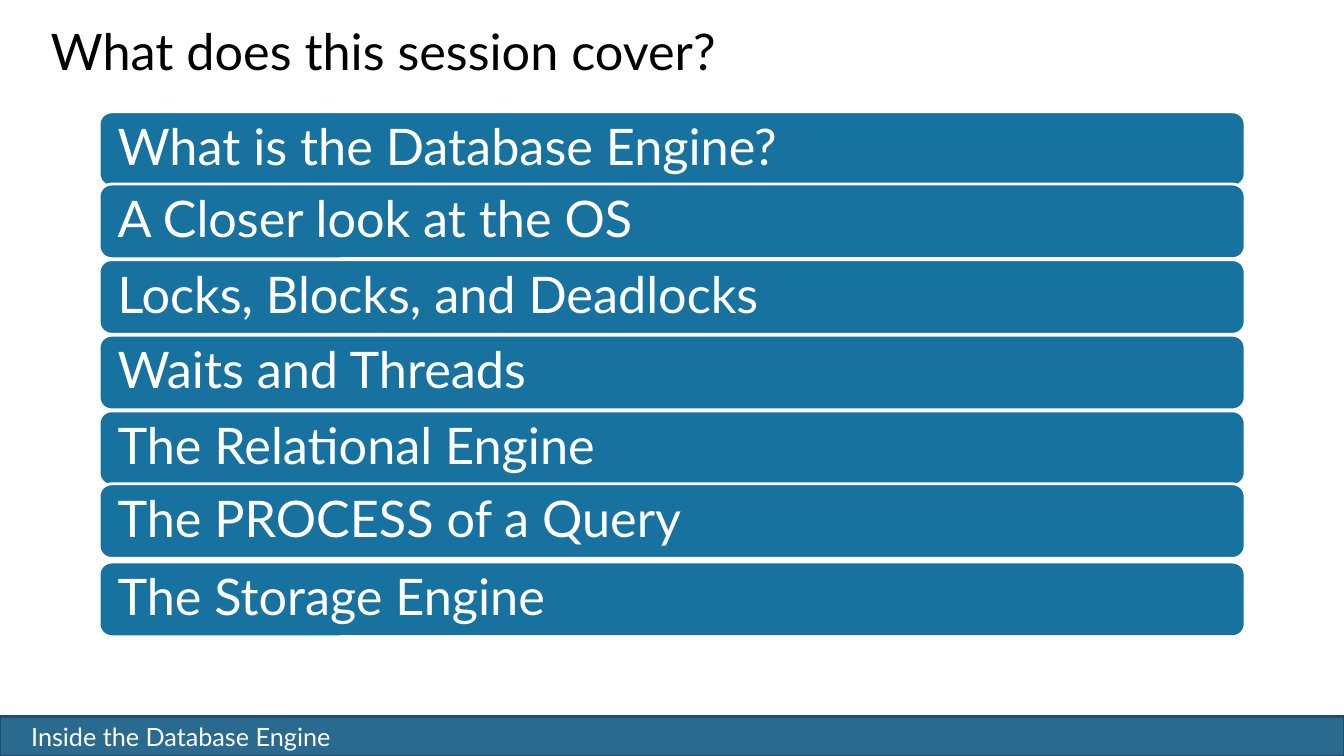
from pptx import Presentation
from pptx.dml.color import RGBColor
from pptx.enum.shapes import MSO_SHAPE as Shape
from pptx.enum.text import MSO_ANCHOR as Anchor, PP_ALIGN as Align
from pptx.util import Pt

FONT = "Lato"
BLACK = RGBColor(0x00, 0x00, 0x00)
WHITE = RGBColor(0xFF, 0xFF, 0xFF)
BAR_BLUE = RGBColor(0x18, 0x72, 0xA0)
FOOTER_BLUE = RGBColor(0x29, 0x6A, 0x8E)
FOOTER_EDGE = RGBColor(0x1E, 0x4E, 0x69)

SLIDE_WIDTH, SLIDE_HEIGHT = 960, 540
FOOTER_HEIGHT = 28.5
BAR_HEIGHT = 53.3
TOPICS = [
    ("What is the Database Engine?", 0),
    ("A Closer look at the OS", 51.6),
    ("Locks, Blocks, and Deadlocks", 105.6),
    ("Waits and Threads", 159.6),
    ("The Relational Engine", 213.6),
    ("The PROCESS of a Query", 265.7),
    ("The Storage Engine", 321.6),
]


def write_text(shape, text, size, color, anchor, side_inset, edge_inset, spacing):
    """Write one left-aligned line of text into a shape."""
    frame = shape.text_frame
    frame.word_wrap = True
    frame.vertical_anchor = anchor
    frame.margin_left = frame.margin_right = Pt(side_inset)
    frame.margin_top = frame.margin_bottom = Pt(edge_inset)
    paragraph = frame.paragraphs[0]
    paragraph.alignment = Align.LEFT
    paragraph.line_spacing = spacing
    run = paragraph.add_run()
    run.text = text
    run.font.name = FONT
    run.font.size = Pt(size)
    run.font.color.rgb = color


def add_box(slide, kind, left, top, width, height, fill, edge):
    """Add a filled shape with a two-point outline and no shadow."""
    shape = slide.shapes.add_shape(kind, Pt(left), Pt(top), Pt(width), Pt(height))
    shape.shadow.inherit = False
    shape.fill.solid()
    shape.fill.fore_color.rgb = fill
    shape.line.color.rgb = edge
    shape.line.width = Pt(2)
    return shape


def place_title(slide, left, top, width, height):
    """Place the slide title in the given box."""
    title = slide.shapes.title
    title.left, title.top = Pt(left), Pt(top)
    title.width, title.height = Pt(width), Pt(height)
    write_text(title, "What does this session cover?", 36, BLACK,
               Anchor.TOP, 7.2, 3.6, Pt(35))


def add_topics(slide, left, top, width):
    """Stack the topic bars downward from the given corner."""
    for topic, offset in TOPICS:
        bar = add_box(slide, Shape.ROUNDED_RECTANGLE, left, top + offset,
                      width, BAR_HEIGHT, BAR_BLUE, WHITE)
        write_text(bar, topic, 36, WHITE, Anchor.MIDDLE, 10.6, 0, 0.9)


def add_footer(slide, left, top, width, height):
    """Add the footer band with the session name."""
    add_box(slide, Shape.RECTANGLE, left, top, width, height,
            FOOTER_BLUE, FOOTER_EDGE)
    label = slide.shapes.add_textbox(Pt(left + 15.2), Pt(top), Pt(405), Pt(height))
    write_text(label, "Inside the Database Engine", 18, WHITE,
               Anchor.TOP, 7.2, 3.6, 1.0)


def main():
    """Build the session overview slide and save it."""
    presentation = Presentation()
    presentation.slide_width = Pt(SLIDE_WIDTH)
    presentation.slide_height = Pt(SLIDE_HEIGHT)
    slide = presentation.slides.add_slide(presentation.slide_layouts[5])
    add_footer(slide, 0, SLIDE_HEIGHT - FOOTER_HEIGHT, SLIDE_WIDTH, FOOTER_HEIGHT)
    place_title(slide, 29, 18.7, 864, 90)
    add_topics(slide, 70.8, 79.9, 818.6)
    presentation.save("out.pptx")


if __name__ == "__main__":
    main()
